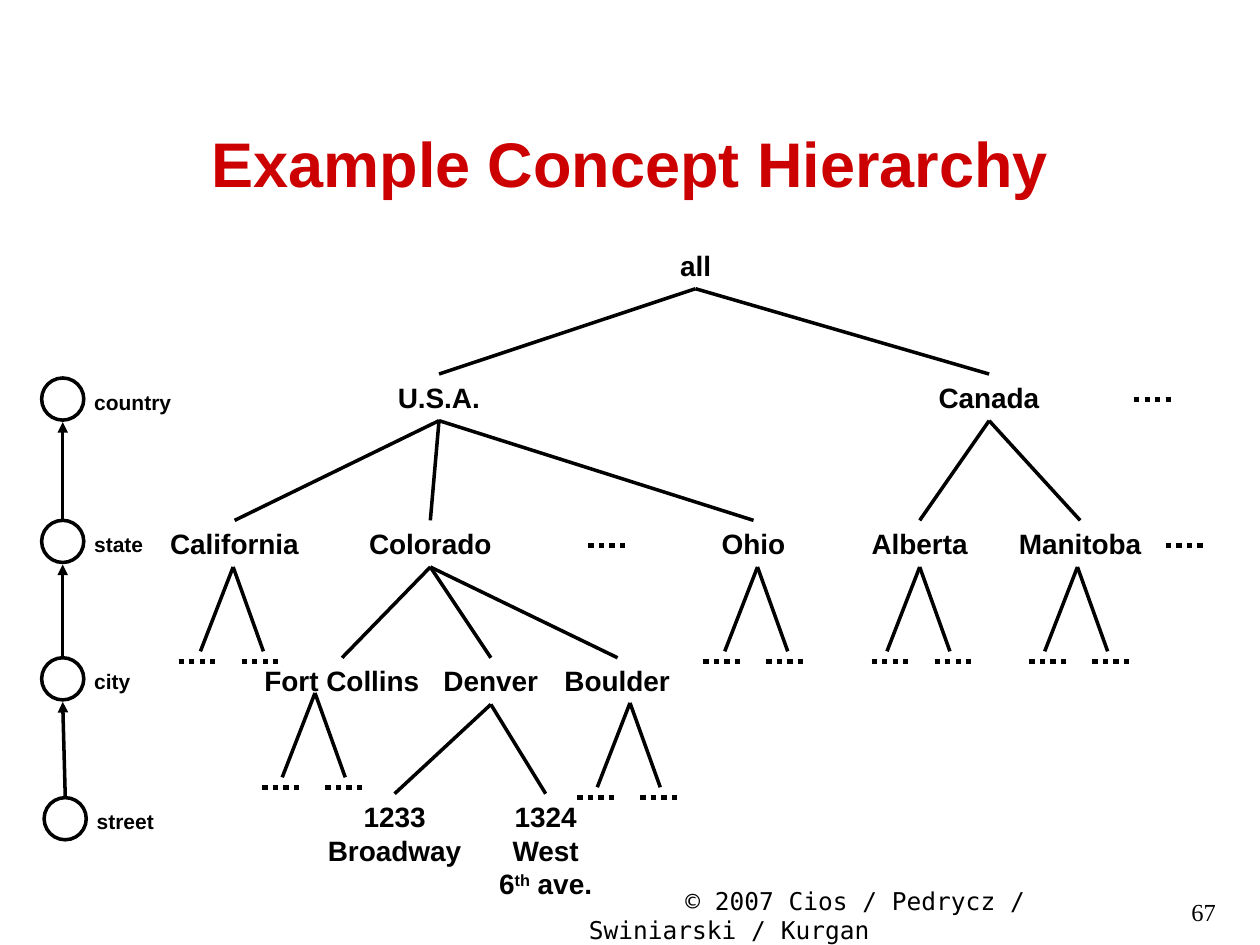
from lxml import etree
from pptx import Presentation
from pptx.dml.color import RGBColor
from pptx.enum.dml import MSO_LINE
from pptx.enum.shapes import MSO_CONNECTOR, MSO_SHAPE
from pptx.enum.text import MSO_ANCHOR, MSO_AUTO_SIZE, PP_ALIGN
from pptx.oxml.ns import qn
from pptx.util import Cm, Pt

RED = RGBColor(0xCC, 0x00, 0x00)
BLACK = RGBColor(0x00, 0x00, 0x00)
LEFT, MID, RIGHT = PP_ALIGN.LEFT, PP_ALIGN.CENTER, PP_ALIGN.RIGHT
MIDDLE = MSO_ANCHOR.MIDDLE
GROW = MSO_AUTO_SIZE.SHAPE_TO_FIT_TEXT
STRAIGHT = MSO_CONNECTOR.STRAIGHT
OVAL = MSO_SHAPE.OVAL
DOTTED = MSO_LINE.ROUND_DOT
TOP, BOTTOM = 0, 2
RING = 0.85
DOTS = 0.82

ROWS = [
    (4.88, [("all", 13.46, 1.12)]),
    (7.54, [("U.S.A.", 7.77, 2.16), ("Canada", 18.67, 2.54)]),
    (10.49, [("California", 3.18, 3.1), ("Colorado", 7.19, 2.97),
             ("Ohio", 14.3, 1.78), ("Alberta", 17.32, 2.44),
             ("Manitoba", 20.29, 2.97)]),
    (13.26, [("Fort Collins", 5.08, 3.63), ("Denver", 8.69, 2.41),
             ("Boulder", 11.13, 2.64)]),
]
TREE = {
    "all": ["U.S.A.", "Canada"],
    "U.S.A.": ["California", "Colorado", "Ohio"],
    "Canada": ["Alberta", "Manitoba"],
    "Colorado": ["Fort Collins", "Denver", "Boulder"],
    "Denver": ["1233", "1324"],
}
FORKS = [(4.7, 11.43, 3.6), (15.27, 11.43, 14.18), (18.54, 11.43, 17.57),
         (21.72, 11.43, 20.75), (12.7, 14.17, 11.64), (6.35, 13.97, 5.29)]
GAPS = [(22.86, 8.05), (23.5, 11), (11.86, 11)]
LEVELS = [("country", 0.84, 7.62, 2.06), ("state", 0.84, 10.49, 1.5),
          ("city", 0.84, 13.26, 1.22), ("street", 0.89, 16.08, 1.65)]


def style(para, size, bold=True, face="Arial", color=BLACK, align=LEFT):
    para.alignment = align
    font = para.font
    font.name, font.size, font.bold = face, Pt(size), bold
    font.color.rgb = color


def add_text(slide, text, x, y, w, h, grow=True):
    box = slide.shapes.add_textbox(Cm(x), Cm(y), Cm(w), Cm(h))
    frame = box.text_frame
    frame.word_wrap = True
    if grow:
        frame.auto_size = GROW
    para = frame.paragraphs[0]
    para.text = text
    return box, para


def add_label(slide, text, size, *place):
    box, para = add_text(slide, text, *place)
    box.text_frame.word_wrap = False
    box.text_frame.margin_right = 0
    style(para, size)
    return box


def add_line(slide, x1, y1, x2, y2, width=2):
    line = slide.shapes.add_connector(STRAIGHT, Cm(x1), Cm(y1), Cm(x2), Cm(y2))
    line.line.color.rgb = BLACK
    line.line.width = Pt(width)
    etree.SubElement(line._element.spPr, qn("a:effectLst"))
    return line


def add_dots(slide, x, y):
    add_line(slide, x, y, x + DOTS, y, 3).line.dash_style = DOTTED


def add_arrow(slide, *ends):
    line = add_line(slide, *ends).line
    etree.SubElement(line._get_or_add_ln(), qn("a:tailEnd"), type="triangle")


def add_fork(slide, x, y, start):
    for shift in (-0.66, 0.61):
        add_line(slide, x + shift, y + 1.7, x, y)
    for step in (0, 1.27):
        add_dots(slide, start + step, y + 1.91)


def add_level(slide, name, x, y, width):
    ring = slide.shapes.add_shape(OVAL, Cm(x), Cm(y), Cm(RING), Cm(RING))
    ring.shadow.inherit = False
    ring.fill.background()
    ring.line.color.rgb = BLACK
    ring.line.width = Pt(2)
    add_label(slide, name, 12, x + 0.81, y + 0.1, width, 0.76)


def add_scale(slide):
    for level in LEVELS:
        add_level(slide, *level)
    for (_, x1, y1, _), (_, x2, y2, _) in zip(LEVELS[1:], LEVELS):
        add_arrow(slide, x1 + RING / 2, y1 - 0.03, x2 + RING / 2, y2 + RING + 0.04)


def add_nodes(slide):
    nodes = {}
    for y, row in ROWS:
        for name, x, width in row:
            nodes[name] = add_label(slide, name, 16, x, y, width, 0.94)
    nodes["1233"], para = add_text(slide, "1233 Broadway", 6.15, 16, 3.61, 1.63)
    style(para, 16, align=MID)
    nodes["1324"], para = add_text(slide, "1324 West 6", 9.73, 16, 2.54, 2.29)
    style(para, 16, align=MID)
    power = para.add_run()
    power.text = "th"
    power.font._element.set("baseline", "30000")
    para.add_run().text = " ave."
    return nodes


def add_tree(slide):
    nodes = add_nodes(slide)
    for name, kids in TREE.items():
        for kid in kids:
            line = add_line(slide, 0, 0, 0, 0)
            line.begin_connect(nodes[name], BOTTOM)
            line.end_connect(nodes[kid], TOP)
    for fork in FORKS:
        add_fork(slide, *fork)
    for gap in GAPS:
        add_dots(slide, *gap)


def add_title(slide):
    title = slide.shapes.title
    title.left, title.top = Cm(1.9), Cm(1.68)
    title.width, title.height = Cm(21.6), Cm(3.18)
    frame = title.text_frame
    frame.text = "Example Concept Hierarchy"
    frame.vertical_anchor = MIDDLE
    style(frame.paragraphs[0], 36, color=RED, align=MID)


def add_foot(slide):
    para = add_text(slide, "\t\t© 2007 Cios / Pedrycz / Swiniarski / Kurgan",
                    6.55, 17.73, 16.31, 1.32, False)[1]
    tabs = etree.SubElement(para._p.get_or_add_pPr(), qn("a:tabLst"))
    for stop in (1, 2):
        etree.SubElement(tabs, qn("a:tab"), pos=str(Cm(2.54 * stop)), algn="l")
    style(para, 14, False, "DejaVu Sans Mono", align=MID)
    para = add_text(slide, "67", 20.52, 17.96, 4.24, 1.27, False)[1]
    style(para, 14, False, "Times New Roman", align=RIGHT)


def main():
    deck = Presentation()
    deck.slide_width, deck.slide_height = Cm(25.4), Cm(19.05)
    slide = deck.slides.add_slide(deck.slide_layouts[5])
    add_title(slide)
    add_scale(slide)
    add_tree(slide)
    add_foot(slide)
    deck.save("out.pptx")


if __name__ == "__main__":
    main()
